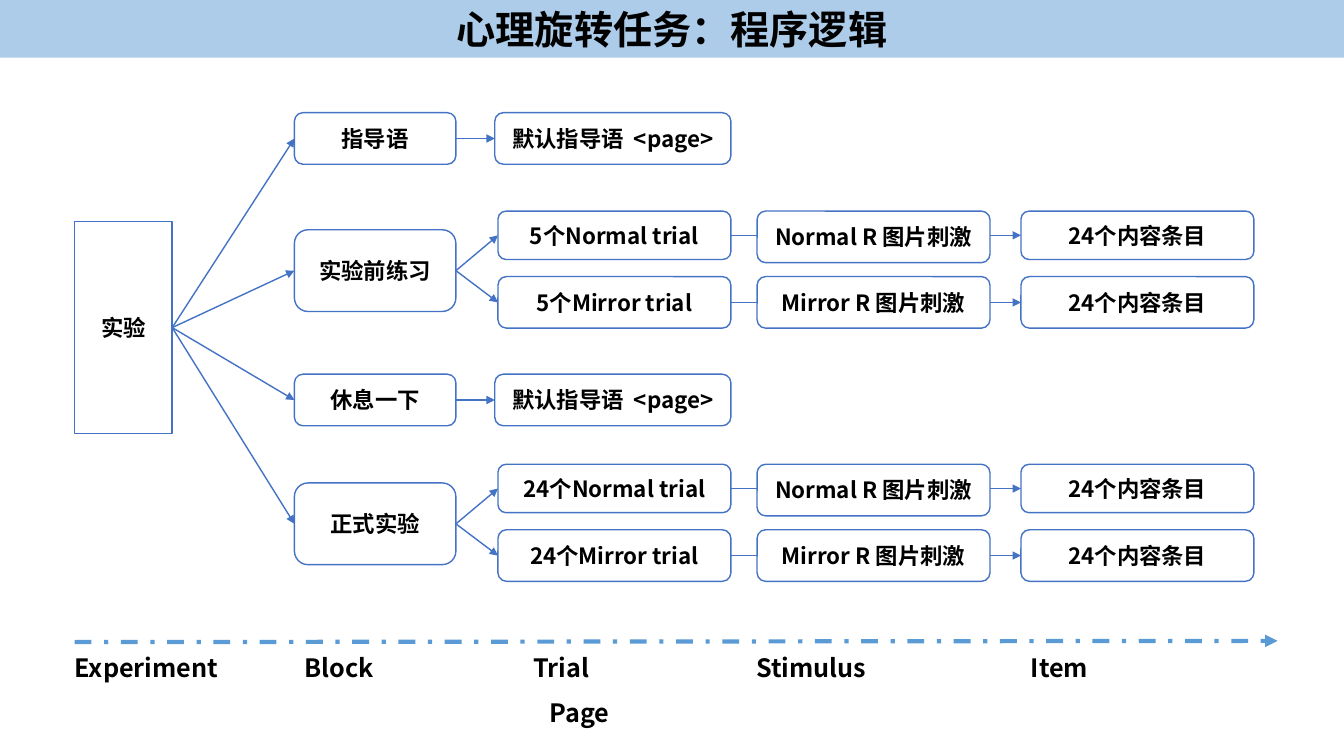
from lxml import etree
from pptx import Presentation
from pptx.dml.color import RGBColor
from pptx.enum import dml, shapes, text
from pptx.oxml.ns import qn
from pptx.util import Cm, Pt

# Content
TITLE = "心理旋转任务：程序逻辑"
ROOT = "实验"
PAGE = "默认指导语  <page>"
ITEM = "24个内容条目"
# Block name, top, height, number of trials of each kind (0: one page instead)
BLOCKS = [
    ("指导语", 2.84, 1.3, 0),
    ("实验前练习", 5.79, 2.06, 5),
    ("休息一下", 9.43, 1.3, 0),
    ("正式实验", 12.17, 2.06, 24),
]
# Trial kind, offset from top of its block, height of trial and item boxes
TRIAL_KINDS = [("Normal", -0.47, 1.22), ("Mirror", 1.18, 1.3)]
# Axis labels with their distance from the start of the axis
LEVEL_ROWS = [
    (16.31, [("Experiment", 0), ("Block", 5.79), ("Trial", 11.56),
             ("Stimulus", 17.18), ("Item", 24.1)]),
    (17.45, [("", 0), ("Page", 11.97)]),
]

# Style and column geometry (left, width), in cm
FONT = "Noto Sans CJK SC"
COLORS = {"line": "4472C4", "accent": "5B9BD5", "box": "FFFFFF", "text": "000000"}
COLUMNS = {
    "root": (1.88, 2.46),
    "block": (7.42, 4.07),
    "page": (12.47, 5.95),
    "trial": (12.55, 5.87),
    "stimulus": (19.08, 5.87),
    "item": (25.73, 5.87),
}
BOX_HEIGHT = 1.3
RIGHT, LEFT = 3, 1


def color(name):
    return RGBColor.from_string(COLORS[name])


def format_paragraph(paragraph, size, alignment):
    paragraph.alignment = alignment
    font = paragraph.font
    font.size, font.bold, font.name = Pt(size), True, FONT
    font.color.rgb = color("text")
    defaults = paragraph._p.pPr.find(qn("a:defRPr"))
    etree.SubElement(defaults, qn("a:ea"), typeface=FONT)


def add_box(column, top, height, label, kind=shapes.MSO_SHAPE.ROUNDED_RECTANGLE):
    left, width = COLUMNS[column]
    shape = slide.shapes.add_shape(kind, Cm(left), Cm(top), Cm(width), Cm(height))
    shape.shadow.inherit = False
    shape.fill.solid()
    shape.fill.fore_color.rgb = color("box")
    shape.line.color.rgb = color("line")
    shape.line.width = Pt(1)
    frame = shape.text_frame
    frame.text = label
    frame.word_wrap = True
    frame.vertical_anchor = text.MSO_ANCHOR.MIDDLE
    format_paragraph(frame.paragraphs[0], 16, text.PP_ALIGN.CENTER)
    return shape


def add_arrow(start, end, line_color, width, dash=None):
    connector = slide.shapes.add_connector(shapes.MSO_CONNECTOR.STRAIGHT, *start, *end)
    connector.line.color.rgb = color(line_color)
    connector.line.width = Pt(width)
    if dash:
        connector.line.dash_style = dash
    properties = connector._element.spPr
    etree.SubElement(properties.find(qn("a:ln")), qn("a:tailEnd"), type="triangle")
    etree.SubElement(properties, qn("a:effectLst"))
    return connector


def join(source, target):
    connector = add_arrow((0, 0), (0, 0), "line", 1)
    connector.begin_connect(source, RIGHT)
    connector.end_connect(target, LEFT)


def add_trials(block, block_top, count):
    for kind, offset, height in TRIAL_KINDS:
        top = block_top + offset
        trial = add_box("trial", top, height, f"{count}个{kind} trial")
        item = add_box("item", top, height, ITEM)
        join(block, trial)
        join(trial, item)
        # The stimulus box lies over the arrow from trial to item
        add_box("stimulus", top, BOX_HEIGHT, f"{kind} R 图片刺激")


presentation = Presentation()
presentation.slide_width, presentation.slide_height = Cm(33.87), Cm(19.05)
slide = presentation.slides.add_slide(presentation.slide_layouts[5])

# Title band
title = slide.shapes.title
title.left, title.top = Cm(0), Cm(0)
title.width, title.height = presentation.slide_width, Cm(1.45)
title.fill.solid()
title.fill.fore_color.rgb = color("accent")
band_color = title._element.spPr.find(".//" + qn("a:srgbClr"))
etree.SubElement(band_color, qn("a:alpha"), val="50000")
title.text_frame.text = TITLE
title.text_frame.auto_size = text.MSO_AUTO_SIZE.NONE
title.text_frame.vertical_anchor = text.MSO_ANCHOR.MIDDLE
format_paragraph(title.text_frame.paragraphs[0], 28, text.PP_ALIGN.CENTER)

# Tree of experiment, blocks and trials
root = add_box("root", 5.59, 5.33, ROOT, shapes.MSO_SHAPE.RECTANGLE)
for name, top, height, count in BLOCKS:
    block = add_box("block", top, height, name)
    join(root, block)
    if count:
        add_trials(block, top, count)
    else:
        join(block, add_box("page", top, BOX_HEIGHT, PAGE))

# Axis of levels
axis_left = COLUMNS["root"][0]
add_arrow((Cm(axis_left), Cm(16.18)), (Cm(32.2), Cm(16.15)), "accent", 3,
          dml.MSO_LINE.DASH_DOT)
for top, labels in LEVEL_ROWS:
    box = slide.shapes.add_textbox(Cm(axis_left), Cm(top), Cm(30), Cm(1.02))
    frame = box.text_frame
    frame.word_wrap = True
    frame.margin_left = 0
    paragraph = frame.paragraphs[0]
    paragraph.text = "\t".join(label for label, _ in labels)
    stops = etree.SubElement(paragraph._p.get_or_add_pPr(), qn("a:tabLst"))
    for _, distance in labels[1:]:
        etree.SubElement(stops, qn("a:tab"), pos=str(Cm(distance)), algn="l")
    format_paragraph(paragraph, 18, text.PP_ALIGN.LEFT)

presentation.save("out.pptx")
